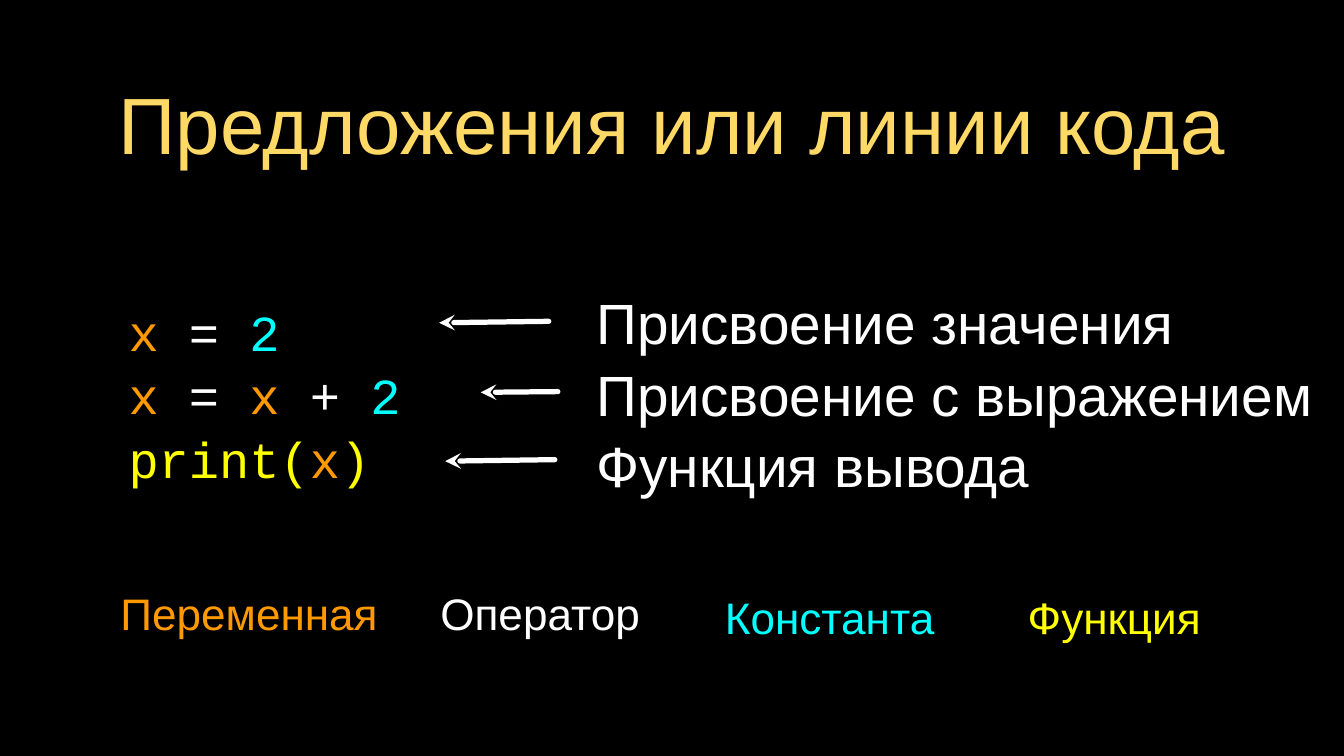
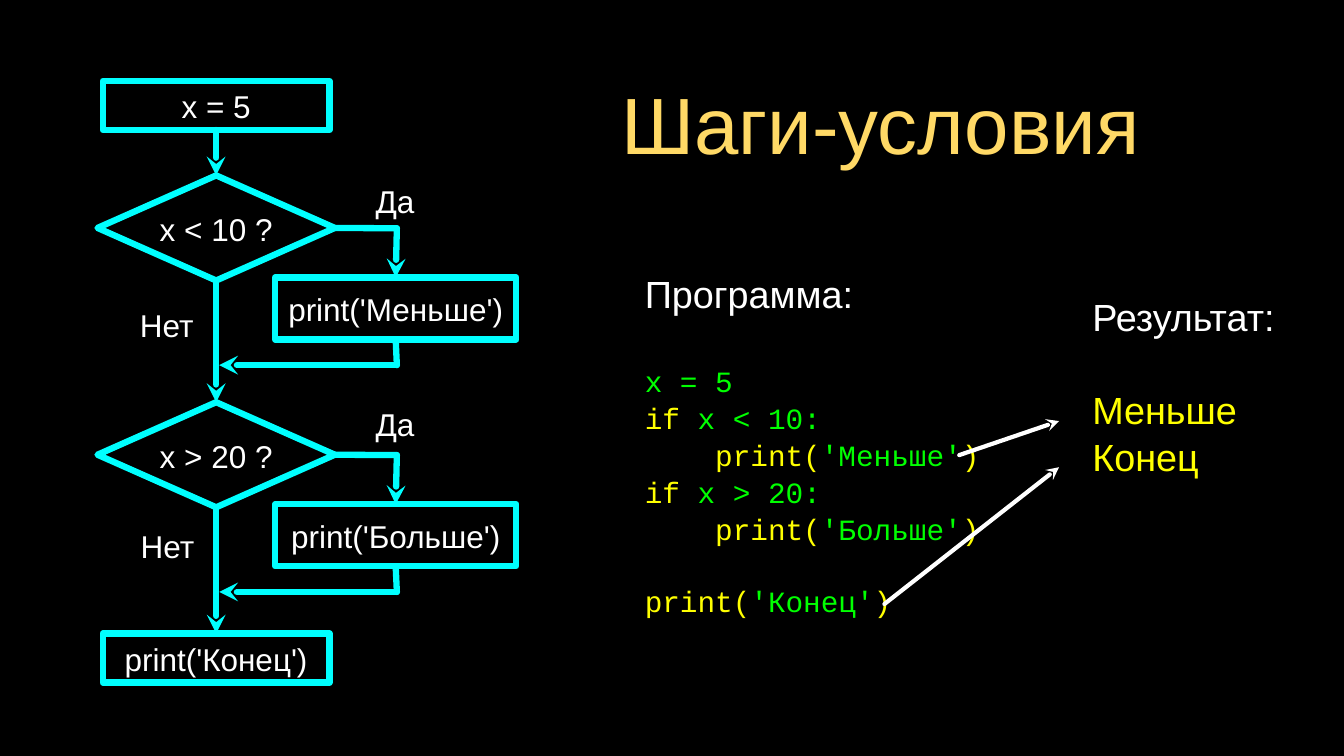
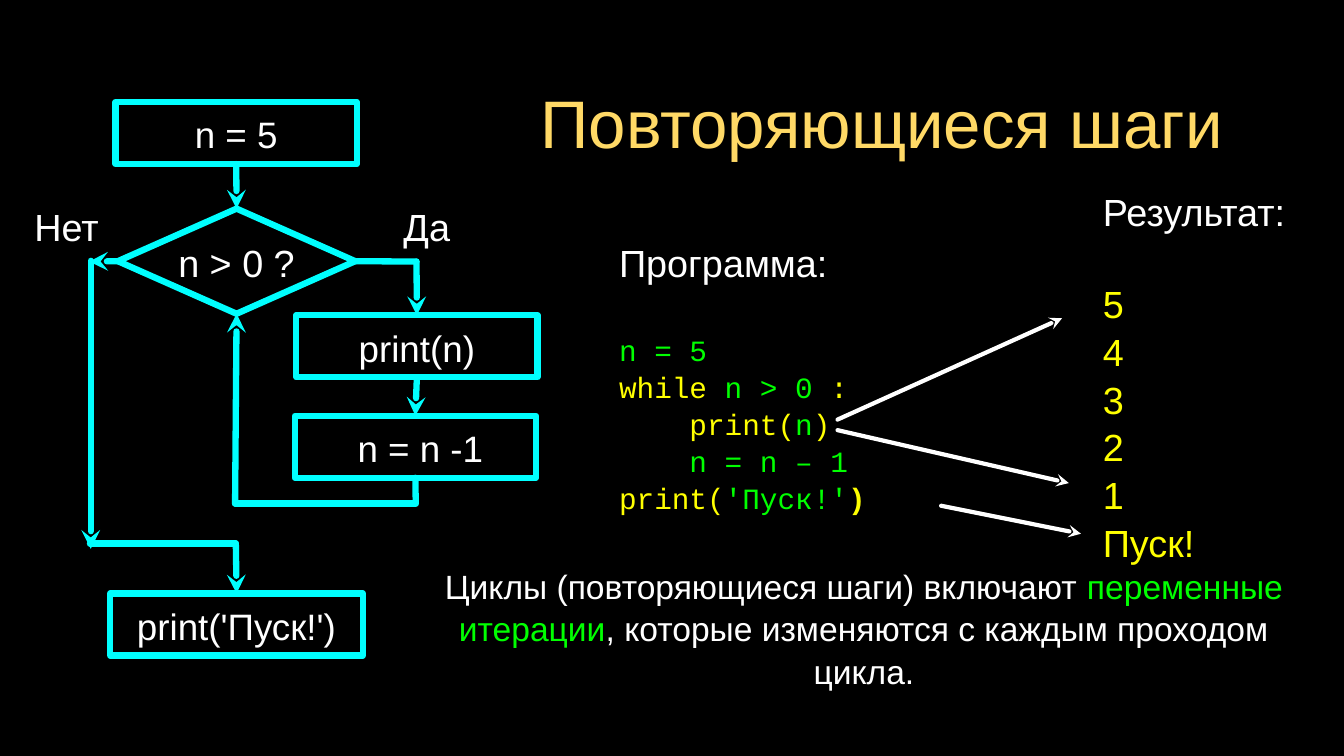
from pptx import Presentation
from pptx.dml.color import RGBColor
from pptx.enum.shapes import MSO_CONNECTOR as Connector, MSO_SHAPE as Shape
from pptx.enum.text import MSO_ANCHOR as Anchor, MSO_AUTO_SIZE as AutoSize, PP_ALIGN as Align
from pptx.oxml.ns import qn
from pptx.util import Emu, Pt
from lxml.etree import SubElement

PX = 9144  # 100 px to the inch
SANS, MONO = "Arial", "Courier New"
COLORS = {
    "back": "000000", "title": "FFD966", "white": "FFFFFF", "orange": "FF9900",
    "cyan": "00FFFF", "yellow": "FFFF00", "green": "00FF00",
}
TOP, LEFT, BOTTOM, RIGHT = range(4)
LINE_SPACING = 1.05
HEADING_GAP, CODE_GAP = 43, 33  # one empty line, in points


def px(*lengths):
    return [Emu(length * PX) for length in lengths]


def rgb(name):
    return RGBColor.from_string(COLORS[name])


# Text
def set_frame(frame, inset=0, wrap=True):
    frame.auto_size = AutoSize.NONE
    frame.word_wrap = wrap
    frame.vertical_anchor = Anchor.MIDDLE
    (frame.margin_left, frame.margin_top,
     frame.margin_right, frame.margin_bottom) = px(*[inset] * 4)


def write(frame, text, size, color="white", font=SANS, align=Align.LEFT, gap=0):
    """Add a paragraph; text is a string or a list of (text, color[, bold])."""
    first = frame.paragraphs[0]
    para = frame.add_paragraph() if first.runs else first
    para.alignment = align
    para.line_spacing = LINE_SPACING
    para.space_before = Pt(gap)
    for words, shade, *bold in [(text, color)] if isinstance(text, str) else text:
        span = para.add_run()
        span.text = words
        span.font.name = font
        span.font.size = Pt(size)
        span.font.bold = bool(bold and bold[0])
        span.font.color.rgb = rgb(shade)


def add_box(page, at):
    box = page.shapes.add_textbox(*px(*at))
    set_frame(box.text_frame)
    return box.text_frame


def add_label(page, at, text, size, color="white"):
    write(add_box(page, at), text, size, color, align=Align.CENTER)


def add_program(page, at, lines):
    frame = add_box(page, at)
    write(frame, "Программа:", 36)
    for spans, gap in lines:
        write(frame, spans, 28, font=MONO, gap=gap)


def add_result(page, at, lines):
    frame = add_box(page, at)
    write(frame, "Результат:", 36)
    for number, line in enumerate(lines):
        write(frame, line, 36, "yellow", gap=0 if number else HEADING_GAP)


# Slides and shapes
def add_page(deck, title, at, size=76):
    page = deck.slides.add_slide(deck.slide_layouts[5])
    box = page.shapes.title
    box.left, box.top, box.width, box.height = px(*at)
    set_frame(box.text_frame, inset=4)
    write(box.text_frame, title, size, "title", align=Align.CENTER)
    return page


def add_node(page, at, text, size, kind=Shape.RECTANGLE):
    node = page.shapes.add_shape(kind, *px(*at))
    node.shadow.inherit = False
    node.fill.background()
    node.line.color.rgb = rgb("cyan")
    node.line.width = Pt(6)
    set_frame(node.text_frame, wrap=False)
    write(node.text_frame, text, size, align=Align.CENTER)
    return node


def add_line(page, start, end, color, width, arrow):
    """Each end is a point (x, y) or a joint (shape, side)."""
    points = [stop if isinstance(stop[0], int) else (0, 0) for stop in (start, end)]
    line = page.shapes.add_connector(Connector.STRAIGHT, *px(*points[0], *points[1]))
    if not isinstance(start[0], int):
        line.begin_connect(*start)
    if not isinstance(end[0], int):
        line.end_connect(*end)
    line.line.color.rgb = rgb(color)
    line.line.width = Pt(width)
    properties = line._element.spPr
    stroke = properties.find(qn("a:ln"))
    stroke.set("cap", "rnd")
    if arrow:
        SubElement(stroke, qn("a:tailEnd"), type="stealth")
    SubElement(properties, qn("a:effectLst"))


def add_route(page, *stops, color="cyan", width=6):
    """Join the stops with straight lines; the last one carries the arrowhead."""
    for number in range(1, len(stops)):
        add_line(page, stops[number - 1], stops[number], color, width,
                 arrow=number == len(stops) - 1)


# Slide 1: kinds of statements
def build_statements(deck):
    page = add_page(deck, "Предложения или линии кода", (89, 84, 1600, 149))

    code = add_box(page, (170, 299, 438, 442))
    for spans in (
        [("x ", "orange"), ("= ", "white"), ("2", "cyan")],
        [("x ", "orange"), ("= ", "white"), ("x ", "orange"), ("+ ", "white"), ("2", "cyan")],
        [("print(", "yellow"), ("x", "orange"), (")", "yellow")],
    ):
        write(code, spans, 48, font=MONO)

    for at, text, color in (
        ((145, 770, 369, 79), "Переменная", "orange"),
        ((577, 770, 275, 79), "Оператор", "white"),
        ((944, 775, 307, 79), "Константа", "cyan"),
        ((1283, 775, 382, 79), "Функция", "yellow"),
    ):
        add_label(page, at, text, 42, color)

    meanings = add_box(page, (789, 297, 971, 442))
    for text in ("Присвоение значения", "Присвоение с выражением", "Функция вывода"):
        write(meanings, text, 54)

    for start, tip in (((726, 425), (581, 427)), ((738, 518), (636, 519)),
                       ((734, 608), (589, 610))):
        add_route(page, start, tip, color="white", width=5)


# Slide 2: conditional steps
def add_condition(page, top, question, action):
    diamond = add_node(page, (129, top, 314, 139), question, 30, Shape.DIAMOND)
    step = add_node(page, (364, top + 135, 319, 82), action, 30)
    add_route(page, (diamond, RIGHT), (525, top + 70), (step, TOP))
    add_route(page, (step, BOTTOM), (525, top + 251), (290, top + 251))
    return diamond


def build_conditions(deck):
    page = add_page(deck, "Шаги-условия", (640, 84, 1049, 149))
    add_result(page, (1445, 390, 264, 239), ("Меньше", "Конец"))

    def branch(sign, word):
        return [
            ([("if ", "yellow"), (f"x {sign}:", "green")], 0),
            ([("    print(", "yellow"), (f"'{word}'", "green"), (")", "yellow")], 0),
        ]

    add_program(page, (853, 314, 496, 545), [
        ([("x = 5", "green")], HEADING_GAP),
        *branch("< 10", "Меньше"),
        *branch("> 20", "Больше"),
        ([("print(", "yellow"), ("'Конец'", "green"), (")", "yellow")], CODE_GAP),
    ])

    start = add_node(page, (136, 107, 300, 65), "x = 5", 30)
    less = add_condition(page, 232, "x < 10 ?", "print('Меньше')")
    more = add_condition(page, 532, "x > 20 ?", "print('Больше')")
    finish = add_node(page, (136, 838, 300, 65), "print('Конец')", 30)
    for upper, lower in ((start, less), (less, more), (more, finish)):
        add_route(page, (upper, BOTTOM), (lower, TOP))

    for left, top, text in ((483, 231, "Да"), (181, 395, "Нет"),
                            (182, 687, "Нет"), (483, 525, "Да")):
        add_label(page, (left, top, 79, 68), text, 30)

    for code_end, tip in (((1269, 602), (1401, 557)), ((1170, 799), (1401, 618))):
        add_route(page, code_end, tip, color="white", width=4)


# Slide 3: repeated steps
def build_loop(deck):
    page = add_page(deck, "Повторяющиеся шаги", (644, 84, 1045, 149), size=64)
    add_result(page, (1459, 263, 263, 467), ("5", "4", "3", "2", "1", "Пуск!"))
    add_program(page, (819, 286, 426, 424), [
        ([("n = 5", "green")], HEADING_GAP),
        ([("while", "yellow"), (" n > 0", "green"), (" :", "yellow")], 0),
        ([("    print(", "yellow"), ("n", "green"), (")", "yellow")], 0),
        ([("    n = n – 1", "green")], 0),
        ([("print(", "yellow"), ("'Пуск!'", "green"), (")", "yellow", True)], 0),
    ])

    start = add_node(page, (153, 135, 319, 82), "n = 5", 35)
    check = add_node(page, (156, 276, 314, 139), "n > 0 ?", 36, Shape.DIAMOND)
    output = add_node(page, (392, 417, 319, 82), "print(n)", 35)
    decrease = add_node(page, (390, 550, 319, 82), " n = n -1", 35)
    finish = add_node(page, (146, 785, 334, 82), "print('Пуск!')", 35)

    add_route(page, (start, BOTTOM), (check, TOP))
    add_route(page, (check, RIGHT), (551, 346), (output, TOP))
    add_route(page, (output, BOTTOM), (decrease, TOP))
    add_route(page, (decrease, BOTTOM), (550, 666), (311, 666), (check, BOTTOM))
    add_route(page, (check, LEFT), (118, 346))
    add_route(page, (120, 345), (120, 726))
    add_route(page, (119, 719), (312, 719), (finish, TOP))

    add_label(page, (38, 264, 100, 68), "Нет", 36)
    add_label(page, (510, 264, 109, 68), "Да", 36)
    add_label(page, (564, 765, 1158, 130), [
        ("Циклы (повторяющиеся шаги) включают ", "white"),
        ("переменные итерации", "green"),
        (", которые изменяются с каждым проходом цикла.", "white"),
    ], 32)

    for code_end, tip in (((1108, 555), (1405, 421)), ((1108, 569), (1414, 639)),
                          ((1245, 669), (1430, 706))):
        add_route(page, code_end, tip, color="white", width=4)


def main():
    deck = Presentation()
    deck.slide_width, deck.slide_height = px(1778, 1000)
    backdrop = deck.slide_master.background.fill
    backdrop.solid()
    backdrop.fore_color.rgb = rgb("back")
    build_statements(deck)
    build_conditions(deck)
    build_loop(deck)
    deck.save("out.pptx")


if __name__ == "__main__":
    main()
